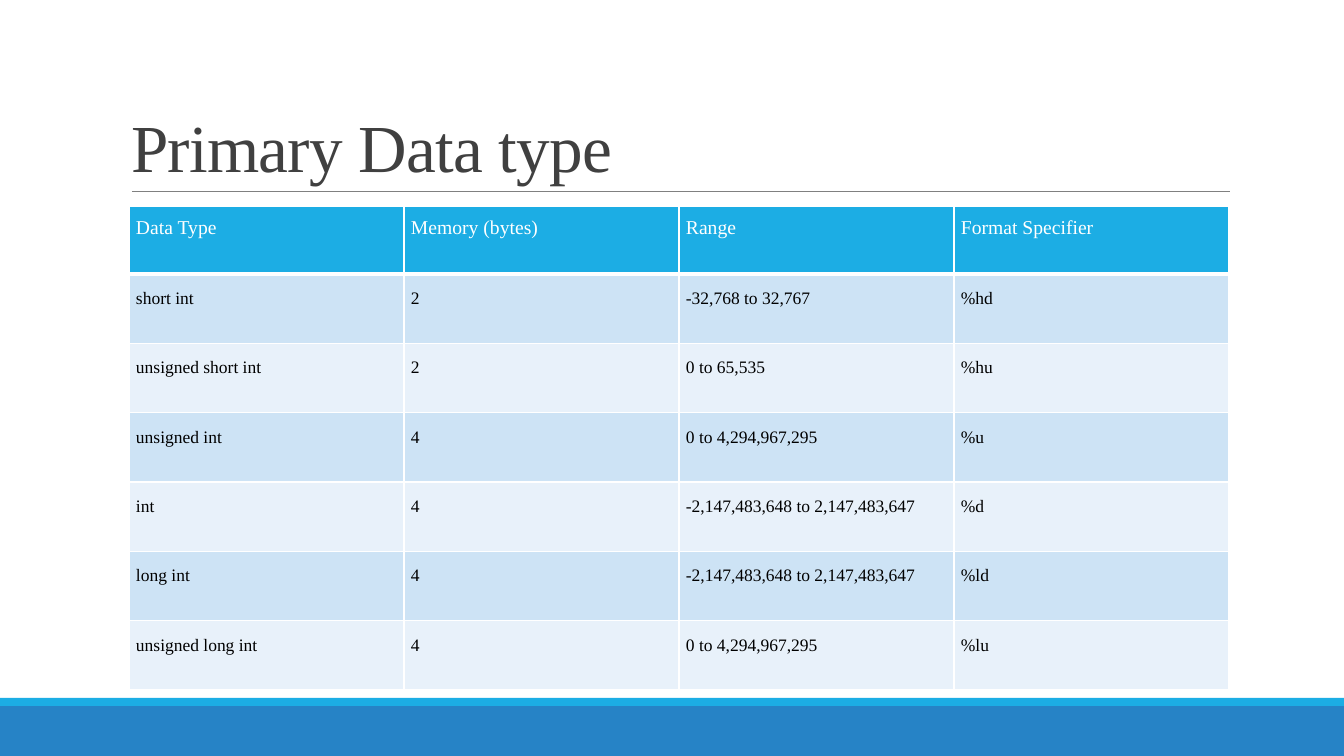
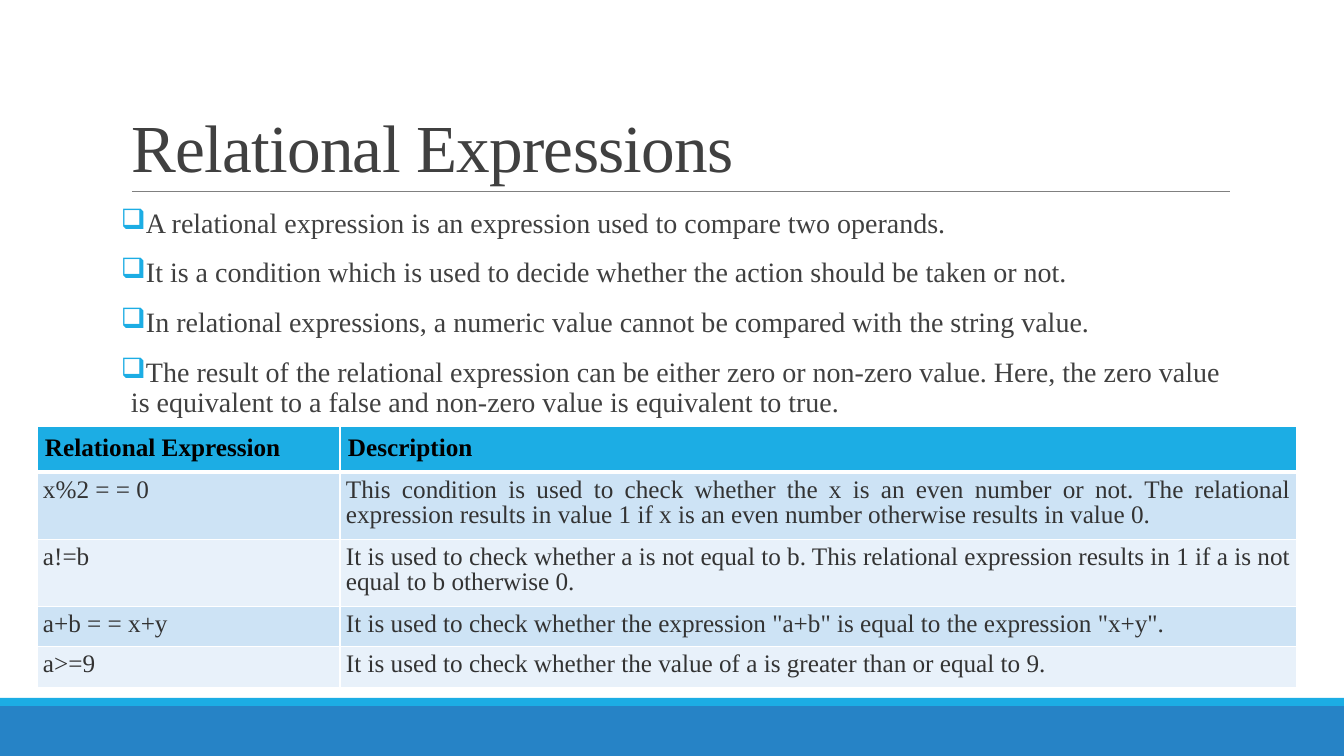
from lxml.etree import SubElement as Sub
from pptx import Presentation
from pptx.dml.color import RGBColor as RGB
from pptx.enum.shapes import MSO_CONNECTOR as Conn, MSO_SHAPE as Shape
from pptx.enum.text import MSO_ANCHOR as Anchor, MSO_AUTO_SIZE as Auto, PP_ALIGN as Align
from pptx.oxml.ns import qn
from pptx.util import Pt

SCALE = 12192000 / 1344
FACE = "Times New Roman"
HEX = {
    "band": "2683C6", "accent": "1CADE4", "rule": "808080", "title": "404040",
    "odd": "CDE3F5", "even": "E8F1FA", "white": "FFFFFF", "black": "000000",
    "cell": "333333",
}

BANDS = [("band", (0, 706, 1344, 50)), ("accent", (0, 698, 1344, 8))]
RULE = (132, 191, 1230, 191)
TITLE = (121, 31, 1109, 160)
BODY = (121, 204, 1109, 444)

TYPES = {
    "box": (129, 206, 1100, 484),
    "cols": [275] * 4,
    "rows": [68],
    "head": {"pad": (7, 11), "font": {"size": Pt(14), "bold": False}, "color": "white", "para": {}},
    "cell": {"pad": (7, 15), "font": {"size": Pt(12.5), "bold": False}, "color": "black", "para": {}},
    "data": [
        ("Data Type", "Memory (bytes)", "Range", "Format Specifier"),
        ("short int", "2", "-32,768 to 32,767", "%hd"),
        ("unsigned short int", "2", "0 to 65,535", "%hu"),
        ("unsigned int", "4", "0 to 4,294,967,295", "%u"),
        ("int", "4", "-2,147,483,648 to 2,147,483,647", "%d"),
        ("long int", "4", "-2,147,483,648 to 2,147,483,647", "%ld"),
        ("unsigned long int", "4", "0 to 4,294,967,295", "%lu"),
    ],
}

TESTS = {
    "box": (37, 426, 1260, 259),
    "cols": [303, 957],
    "rows": [44, 67, 67, 40],
    "head": {"pad": (8, 8), "font": {"size": Pt(18), "bold": True}, "color": "black", "para": {}},
    "cell": {"pad": (6, 6), "font": {"size": Pt(18), "bold": False}, "color": "cell",
             "para": {"alignment": Align.JUSTIFY, "line_spacing": 0.9}},
    "data": [
        ("Relational Expression", "Description"),
        ("x%2 = = 0", "This condition is used to check whether the x is an even number or not. "
         "The relational expression results in value 1 if x is an even number otherwise "
         "results in value 0."),
        ("a!=b", "It is used to check whether a is not equal to b. This relational "
         "expression results in 1 if a is not equal to b otherwise 0."),
        ("a+b = = x+y", 'It is used to check whether the expression "a+b" is equal to the '
         'expression "x+y".'),
        ("a>=9", "It is used to check whether the value of a is greater than or equal to 9."),
    ],
}

SLIDES = [
    {"title": "Primary Data type", "points": [], "table": TYPES},
    {"title": "Relational Expressions", "table": TESTS, "points": [
        "A relational expression is an expression used to compare two operands.",
        "It is a condition which is used to decide whether the action should be taken or not.",
        "In relational expressions, a numeric value cannot be compared with the string value.",
        "The result of the relational expression can be either zero or non-zero value. Here, "
        "the zero value is equivalent to a false and non-zero value is equivalent to true.",
    ]},
]


def px(num):
    return round(num * SCALE)


def put(obj, vals):
    """Set each attribute named in vals."""
    for key, val in vals.items():
        setattr(obj, key, val)


def tint(fill, name):
    fill.solid()
    fill.fore_color.rgb = RGB.from_string(HEX[name])


def write(para, text, font, color, form):
    run = para.add_run()
    run.text = text
    put(run.font, {"name": FACE, **font})
    run.font.color.rgb = RGB.from_string(HEX[color])
    put(para, form)
    return run


def frame(slide, text):
    """Draw what all slides share: bands, rule and title."""
    for name, box in BANDS:
        band = slide.shapes.add_shape(Shape.RECTANGLE, *map(px, box))
        band.shadow.inherit = False
        tint(band.fill, name)
        band.line.fill.background()
    rule = slide.shapes.add_connector(Conn.STRAIGHT, *map(px, RULE))
    tint(rule.line.fill, "rule")
    rule.line.width = Pt(0.5)
    Sub(rule.element.spPr, qn("a:effectLst"))

    title = slide.shapes.title
    put(title, dict(zip(("left", "top", "width", "height"), map(px, TITLE))))
    put(title.text_frame, {"vertical_anchor": Anchor.BOTTOM, "auto_size": Auto.NONE,
                           "word_wrap": True})
    run = write(title.text_frame.paragraphs[0], text, {"size": Pt(48)}, "title",
                {"alignment": Align.LEFT, "line_spacing": 0.85})
    run.font._element.set("spc", "-50")


def bullets(slide, points):
    text = slide.shapes.add_textbox(*map(px, BODY)).text_frame
    put(text, {"word_wrap": True, "margin_left": 0, "margin_right": 0})
    form = {"line_spacing": 0.9, "space_before": Pt(12), "space_after": Pt(2)}
    for i, point in enumerate(points):
        para = text.add_paragraph() if i else text.paragraphs[0]
        write(para, point, {"size": Pt(20)}, "title", form)
        props = para._p.get_or_add_pPr()
        props.set("marL", str(px(10)))
        props.set("indent", str(-px(10)))
        Sub(Sub(props, qn("a:buClr")), qn("a:srgbClr"), val=HEX["accent"])
        Sub(props, qn("a:buChar"), char="❑")


def edge(cell, sides):
    """Draw white cell borders, given as side: points."""
    props = cell._tc.get_or_add_tcPr()
    for side, width in sides.items():
        line = Sub(props, qn("a:ln" + side), w=str(Pt(width)))
        Sub(Sub(line, qn("a:solidFill")), qn("a:srgbClr"), val=HEX["white"])


def grid(slide, info):
    data, rows, box = info["data"], info["rows"], info["box"]
    table = slide.shapes.add_table(len(data), len(info["cols"]), *map(px, box)).table
    table.horz_banding = False
    for col, width in zip(table.columns, info["cols"]):
        col.width = px(width)
    # rows without a height of their own share what is left
    rest = (box[3] - sum(rows)) / (len(data) - len(rows))
    for i, line in enumerate(data):
        table.rows[i].height = px(rows[i] if i < len(rows) else rest)
        look = info["cell" if i else "head"]
        side, top = map(px, look["pad"])
        for j, text in enumerate(line):
            cell = table.cell(i, j)
            put(cell, {"margin_left": side, "margin_right": side, "margin_top": top,
                       "margin_bottom": top, "vertical_anchor": Anchor.TOP})
            edge(cell, {"L": 1, "R": 1, "T": 3 if i == 1 else 1, "B": 1 if i else 3})
            tint(cell.fill, ("even", "odd")[i % 2] if i else "accent")
            write(cell.text_frame.paragraphs[0], text, look["font"], look["color"], look["para"])


def main():
    deck = Presentation()
    put(deck, {"slide_width": px(1344), "slide_height": px(756)})
    for info in SLIDES:
        slide = deck.slides.add_slide(deck.slide_layouts[5])
        frame(slide, info["title"])
        if info["points"]:
            bullets(slide, info["points"])
        grid(slide, info["table"])
    deck.save("out.pptx")


if __name__ == "__main__":
    main()
